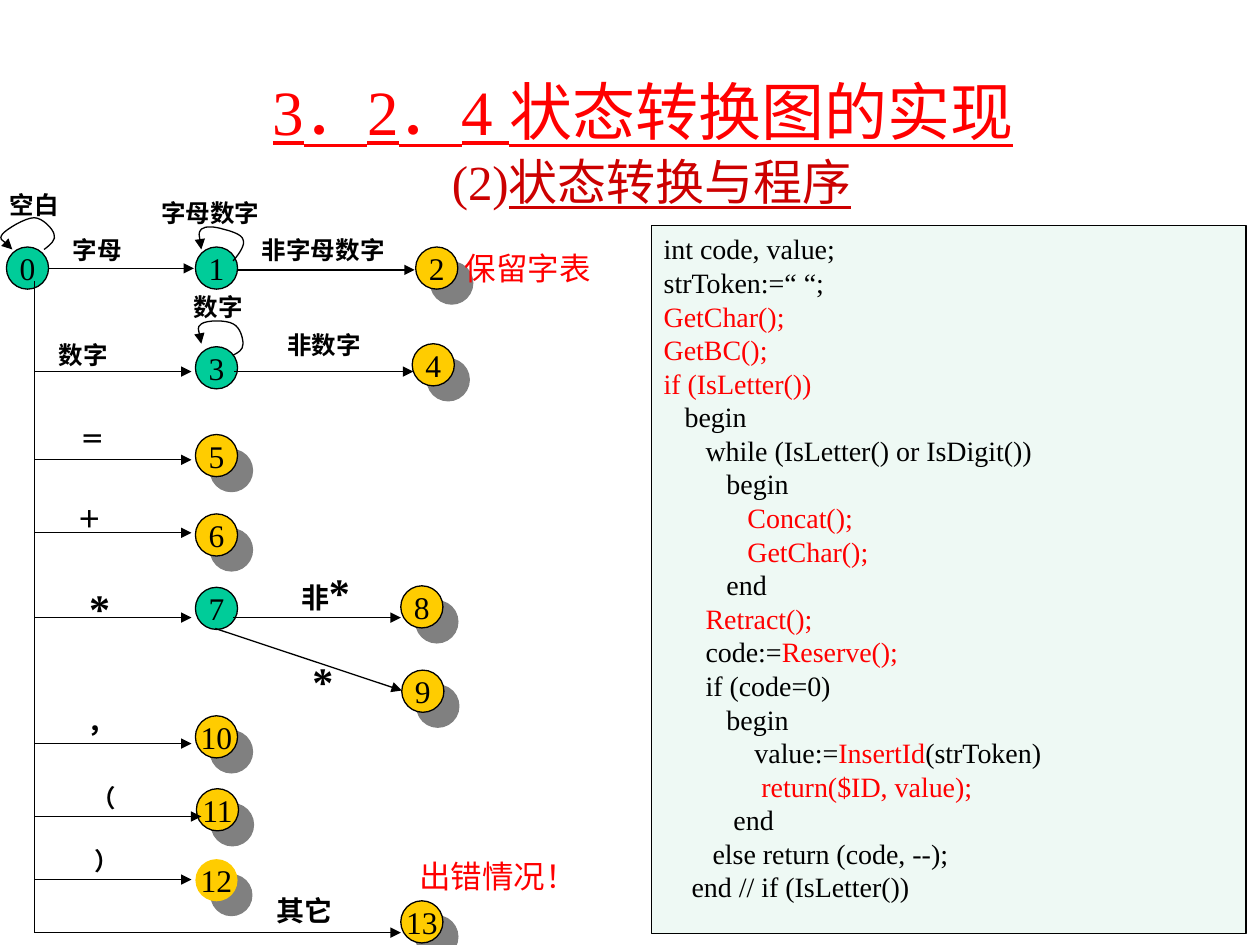
from lxml.etree import SubElement
from pptx import Presentation
from pptx.dml.color import RGBColor
from pptx.enum.shapes import MSO_CONNECTOR, MSO_SHAPE
from pptx.enum.text import MSO_ANCHOR, MSO_AUTO_SIZE, PP_ALIGN
from pptx.oxml.ns import qn
from pptx.util import Cm, Pt

FONT = "Times New Roman"
BLACK, RED, DARK = "000000", "FF0000", "CC0000"
GREEN, GOLD, GRAY, PALE = "00CC99", "FFCC00", "808080", "EEF9F4"
SIZE = 0.85   # state diameter, cm
SPINE = 0.69  # x of the line that leaves state 0

# number, x, y
STATES = [
    (0, 0.13, 1.28), (1, 3.94, 1.28), (2, 8.38, 1.28), (3, 3.94, 3.29),
    (4, 8.31, 3.23), (5, 3.94, 5.06), (6, 3.94, 6.66), (7, 3.94, 8.14),
    (8, 8.08, 8.11), (9, 8.1, 9.81), (10, 3.94, 10.73), (11, 3.96, 12.2),
    (12, 3.94, 13.62), (13, 8.08, 14.46),
]
INNER = {0, 1, 3, 7}

# end x, y of the branches off the spine
BRANCHES = [(3.86, 3.79), (3.86, 5.57), (3.86, 7.04), (3.86, 8.75),
            (3.86, 11.29), (4.06, 12.76), (3.86, 14.03), (8.08, 15.1)]
ARROWS = [(0.97, 1.71, 3.91, 1.71), (4.78, 1.74, 8.36, 1.74),
          (4.72, 3.79, 8.33, 3.79), (4.7, 8.75, 8.08, 8.75),
          (4.34, 8.97, 8.1, 10.22)]

# start, then three control points for each curve
LOOPS = [
    [(0.89, 1.33), (1.02, 1.23), (1.14, 1.13), (1.09, 1.02), (1.07, 0.92),
     (0.86, 0.69), (0.69, 0.69), (0.51, 0.69), (0.13, 0.92), (0.05, 1.02),
     (-0.03, 1.13), (0.23, 1.28), (0.25, 1.33)],
    [(4.7, 1.56), (4.83, 1.41), (4.95, 1.23), (4.9, 1.13), (4.88, 1.02),
     (4.62, 0.95), (4.5, 0.92), (4.34, 0.87), (4.14, 0.85), (4.06, 0.92),
     (3.99, 1), (4.04, 1.15), (4.06, 1.33)],
    [(4.7, 3.46), (4.8, 3.41), (4.9, 3.36), (4.9, 3.23), (4.9, 3.13),
     (4.85, 2.9), (4.7, 2.83), (4.57, 2.75), (4.17, 2.75), (4.06, 2.83),
     (3.96, 2.9), (4.06, 3.18), (4.06, 3.23)],
]

# text, x, y, size, and a width where the box does not hug its text
LABELS = [
    ("空白", -0.05, 0.01, 14, 1.57), ("字母", 1.22, 0.92, 14, 1.57),
    ("字母数字", 3, 0.16, 14, 2.64), ("非字母数字", 5.03, 0.92, 14, 3.68),
    ("数字", 0.94, 3.03, 14), ("数字", 3.66, 2.07, 14),
    ("非数字", 5.54, 2.83, 14), ("＝", 1.37, 4.73, 14),
    ("＋", 1.32, 6.33, 14), ("*", 1.55, 7.91, 24, 0.95),
    ("*", 6.05, 9.38, 24, 0.95), ("，", 1.52, 10.37, 16),
    ("（", 1.6, 11.95, 14), ("）", 1.65, 13.22, 14),
    ("其它", 5.33, 14.18, 16, 2.11),
]
NOTES = [("保留字表", 9.12, 1.2, 18), ("出错情况！", 8.2, 13.45, 18)]

# a bar switches between black and red
CODE = """\
int code, value;
strToken:=“ “;
|GetChar();
|GetBC();
|if (IsLetter())
   begin
      while (IsLetter() or IsDigit())
         begin
            |Concat();
|            GetChar();
         end
      |Retract();
      code:=|Reserve();
      if (code=0)
         begin
             value:=|InsertId|(strToken)
|              return($ID, value);
          end
       else return (code, --);
    end // if (IsLetter())"""


def rgb(code):
    return RGBColor.from_string(code)


def style(font, size, color=BLACK, bold=False):
    font.name, font.size, font.bold = FONT, Pt(size), bold
    font.color.rgb = rgb(color)


def ink(line, arrow=False):
    line.color.rgb = rgb(BLACK)
    line.width = Pt(0.75)
    if arrow:
        SubElement(line._get_or_add_ln(), qn("a:tailEnd"), type="triangle")


def drop(shape):
    """Cast a hard grey shadow to the lower right."""
    effects = shape._element.spPr.find(qn("a:effectLst"))
    cast = SubElement(effects, qn("a:outerShdw"), dist=str(Pt(12.1)),
                      dir="2700000", algn="ctr", rotWithShape="0")
    SubElement(cast, qn("a:srgbClr"), val=GRAY)


def state(slide, num, x, y):
    dot = slide.shapes.add_shape(MSO_SHAPE.OVAL, Cm(x), Cm(y), Cm(SIZE), Cm(SIZE))
    dot.shadow.inherit = False
    dot.fill.solid()
    dot.fill.fore_color.rgb = rgb(GREEN if num in INNER else GOLD)
    if num == 12:
        dot.line.fill.background()
    else:
        ink(dot.line)
    if num not in INNER:
        drop(dot)
    frame = dot.text_frame
    frame.word_wrap = False
    frame.vertical_anchor = MSO_ANCHOR.MIDDLE
    para = frame.paragraphs[0]
    para.text = str(num)
    para.alignment = PP_ALIGN.CENTER
    style(para.font, 18)


def line(slide, x1, y1, x2, y2, arrow=True):
    link = slide.shapes.add_connector(
        MSO_CONNECTOR.STRAIGHT, Cm(x1), Cm(y1), Cm(x2), Cm(y2))
    ink(link.line, arrow)
    SubElement(link._element.spPr, qn("a:effectLst"))


def loop(slide, points):
    """Draw an open curve with an arrowhead through Bézier points."""
    start, *rest = [(Cm(x), Cm(y)) for x, y in points]
    pen = slide.shapes.build_freeform(*start)
    pen.add_line_segments(rest, close=False)
    curve = pen.convert_to_shape()
    curve.shadow.inherit = False
    curve.fill.background()
    ink(curve.line, True)
    track = curve._element.find(".//" + qn("a:path"))
    steps = track.findall(qn("a:lnTo"))
    for i in range(0, len(steps), 3):
        bend = SubElement(track, qn("a:cubicBezTo"))
        for step in steps[i:i + 3]:
            bend.append(step[0])
            track.remove(step)


def label(slide, x, y, text, size, width=None, color=BLACK, bold=True):
    em = Pt(size).cm
    box = slide.shapes.add_textbox(
        Cm(x), Cm(y), Cm(width or len(text) * em + 0.51), Cm(1.2 * em + 0.25))
    box.text_frame.word_wrap = width is not None
    para = box.text_frame.paragraphs[0]
    para.text = text
    style(para.font, size, color, bold)
    return para


def diagram(slide, left, top):
    for num, x, y in STATES:
        state(slide, num, left + x, top + y)
    for points in LOOPS:
        loop(slide, [(left + x, top + y) for x, y in points])
    line(slide, left + SPINE, top + 1.96, left + SPINE, top + 15.1, False)
    for x, y in BRANCHES:
        line(slide, left + SPINE, top + y, left + x, top + y)
    for x1, y1, x2, y2 in ARROWS:
        line(slide, left + x1, top + y1, left + x2, top + y2)
    for text, x, y, *rest in LABELS:
        label(slide, left + x, top + y, text, *rest)
    for text, x, y, size in NOTES:
        label(slide, left + x, top + y, text, size, color=RED, bold=False)
    para = label(slide, left + 5.82, top + 7.6, "非", 24, 1.63)
    style(para.runs[0].font, 16, bold=True)
    star = para.add_run()
    star.text = "*"
    style(star.font, 24, bold=True)


def heading(slide, left, top, width, height):
    title = slide.shapes.title
    title.left, title.top = Cm(left), Cm(top)
    title.width, title.height = Cm(width), Cm(height)
    frame = title.text_frame
    frame.auto_size = MSO_AUTO_SIZE.NONE
    frame.vertical_anchor = MSO_ANCHOR.MIDDLE
    para = frame.paragraphs[0]
    para.alignment = PP_ALIGN.CENTER
    for text, size, color, under in [
            ("3．2．4 状态转换图的实现", 36, RED, True), (" ", 44, BLACK, False),
            ("(2)", 28, DARK, False), ("状态转换与程序", 28, DARK, True)]:
        if text == "(2)":
            para.add_line_break()
        run = para.add_run()
        run.text = text
        style(run.font, size, color)
        run.font.underline = under


def listing(slide, left, top, width, height):
    box = slide.shapes.add_shape(
        MSO_SHAPE.RECTANGLE, Cm(left), Cm(top), Cm(width), Cm(height))
    box.shadow.inherit = False
    box.fill.solid()
    box.fill.fore_color.rgb = rgb(PALE)
    ink(box.line)
    frame = box.text_frame
    frame.word_wrap = True
    frame.vertical_anchor = MSO_ANCHOR.TOP
    for i, row in enumerate(CODE.split("\n")):
        para = frame.add_paragraph() if i else frame.paragraphs[0]
        para.alignment = PP_ALIGN.LEFT
        style(para.font, 16)
        for j, part in enumerate(row.split("|")):
            if part:
                run = para.add_run()
                run.text = part
                run.font.color.rgb = rgb(RED if j % 2 else BLACK)


def main():
    deck = Presentation()
    deck.slide_width, deck.slide_height = Cm(25.4), Cm(19.05)
    slide = deck.slides.add_slide(deck.slide_layouts[5])
    diagram(slide, 0, 3.7)
    heading(slide, 2.34, 1.12, 21.59, 3.18)
    listing(slide, 13.13, 4.55, 11.99, 14.27)
    deck.save("out.pptx")


if __name__ == "__main__":
    main()
